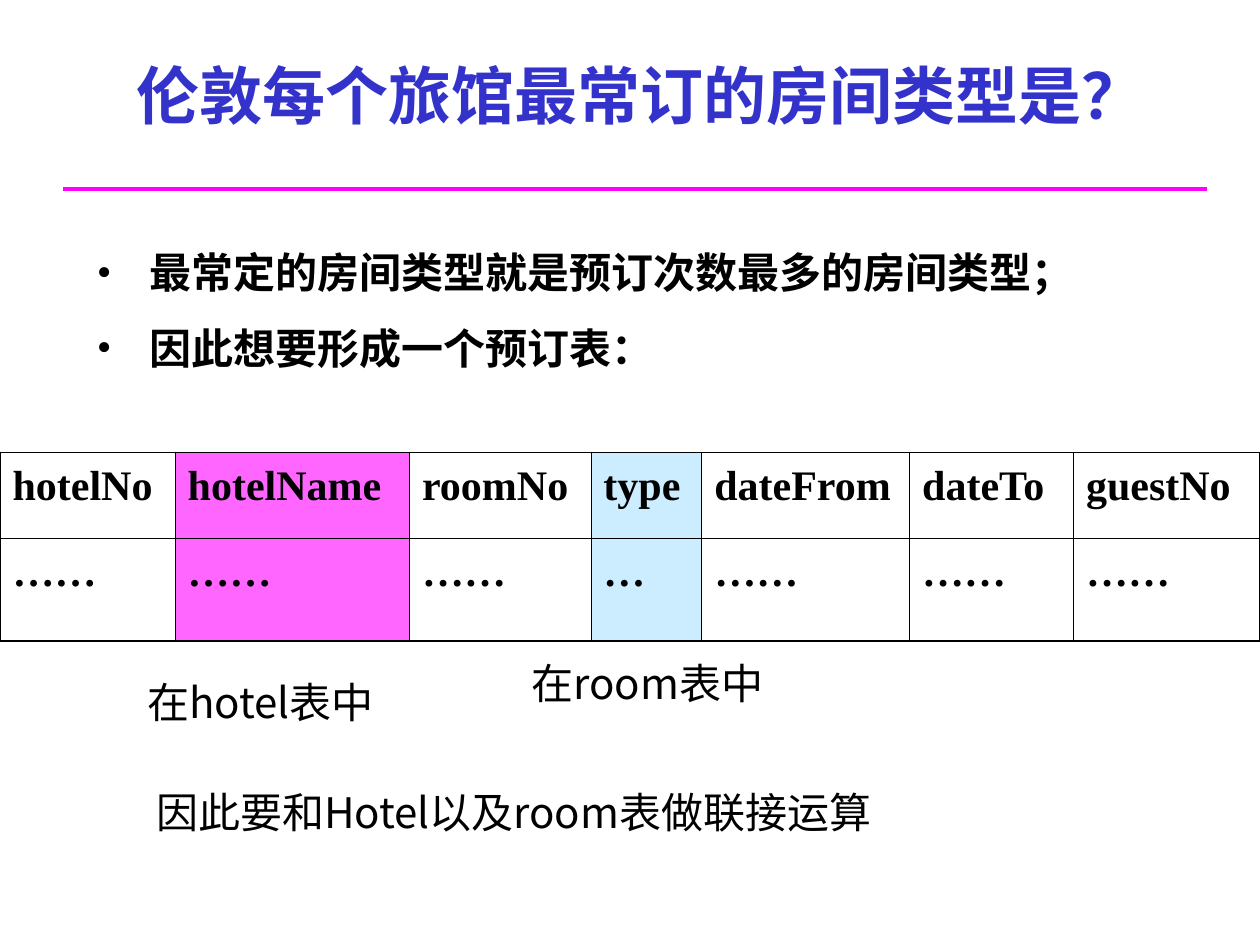
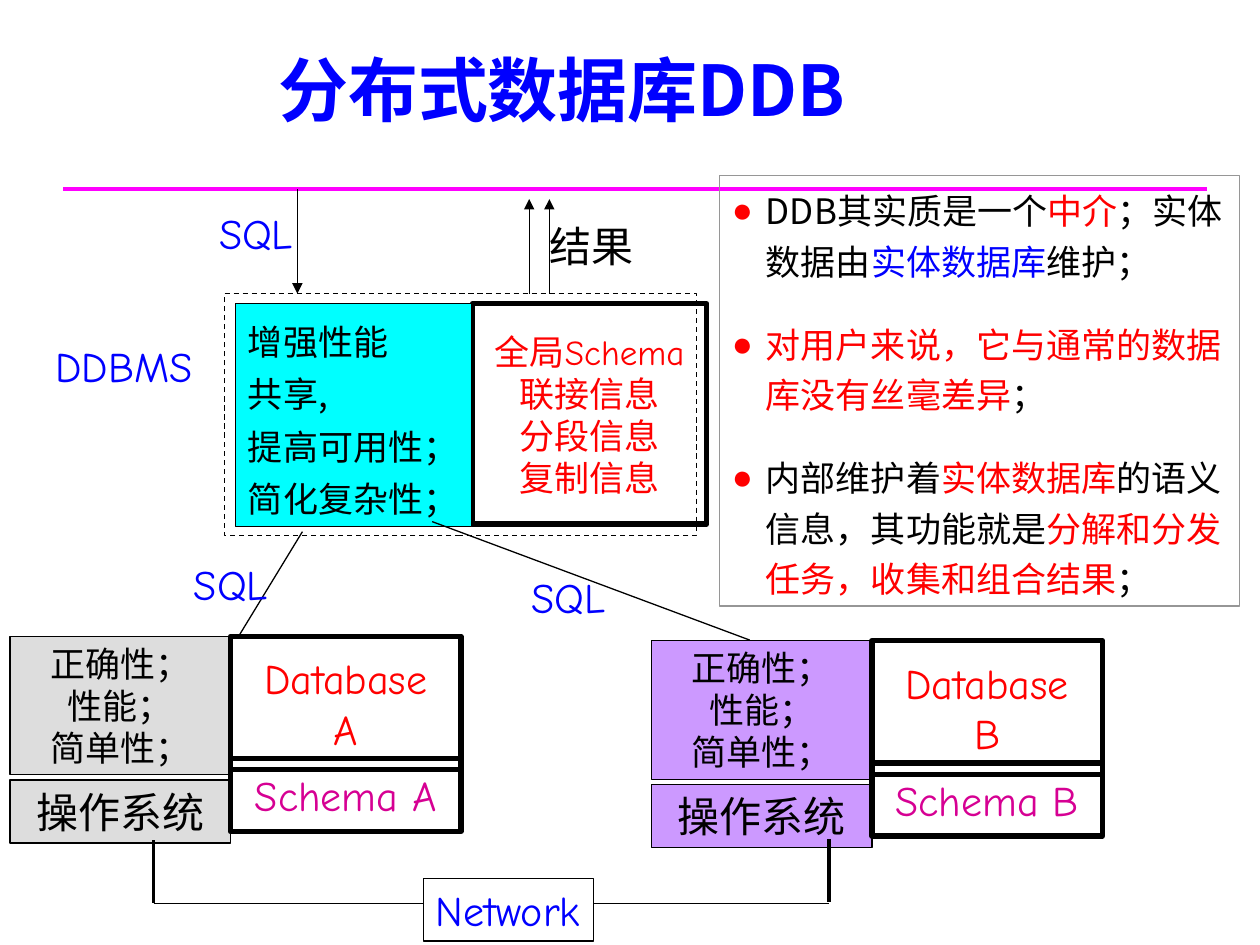
import pptx
import pptx.util
import pptx.dml.color
import pptx.enum.dml
import pptx.enum.shapes
import pptx.enum.text
import pptx.oxml
import pptx.oxml.ns
from dataclasses import dataclass
from lxml import etree


@dataclass(frozen=True)
class Theme:
    # colours
    black: str = "000000"
    white: str = "FFFFFF"
    rule: str = "FF00FF"
    title: str = "3333CC"
    blue: str = "0000FF"
    red: str = "FF0000"
    schema: str = "D60093"
    hotel: str = "FF66FF"
    room: str = "CCECFF"
    cyan: str = "00FFFF"
    grey: str = "DDDDDD"
    violet: str = "CC99FF"
    frame: str = "969696"
    # fonts
    cjk: str = "Noto Sans CJK SC"
    comic: str = "Comic Neue"
    serif: str = "Times New Roman"
    # type sizes and line widths in points
    big: int = 40
    head: int = 36
    body: int = 24
    small: int = 20
    thin: float = 0.75
    medium: float = 2
    thick: float = 3


T = Theme()
RGB = pptx.dml.color.RGBColor.from_string
ALIGN = pptx.enum.text.PP_ALIGN
ANCHOR = pptx.enum.text.MSO_ANCHOR
qn = pptx.oxml.ns.qn

prs = pptx.Presentation()
prs.slide_width = pptx.util.Inches(10)
prs.slide_height = pptx.util.Inches(7.5)
COL = prs.slide_width / 100  # grid of 100 columns
ROW = prs.slide_height / 75  # and 75 rows


def add_box(s, x, y, w, h, paras=(), size=T.body, font=T.cjk, color=T.black, bold=False,
            fill=None, line=None, width=T.thin, center=False, wrap=True, middle=False,
            pad=(1, 0.5), spacing=None, before=0, bullet=None, indent=0):
    """Box in grid units; a paragraph is a string or a list of (text, colour)."""
    at = [int(v) for v in (x * COL, y * ROW, w * COL, h * ROW)]
    if fill or line:
        sp = s.shapes.add_shape(pptx.enum.shapes.MSO_SHAPE.RECTANGLE, *at)
        sp.shadow.inherit = False
        sp.line.color.rgb = RGB(line)
        sp.line.width = pptx.util.Pt(width)
        if fill:
            sp.fill.solid()
            sp.fill.fore_color.rgb = RGB(fill)
        else:
            sp.fill.background()
    else:
        sp = s.shapes.add_textbox(*at)
    tf = sp.text_frame
    tf.word_wrap = wrap
    tf.vertical_anchor = ANCHOR.MIDDLE if middle else ANCHOR.TOP
    tf.margin_left = tf.margin_right = int(pad[0] * COL)
    tf.margin_top = tf.margin_bottom = int(pad[1] * ROW)
    if paras and not middle and not bullet:
        tf.auto_size = pptx.enum.text.MSO_AUTO_SIZE.SHAPE_TO_FIT_TEXT
    for i, para in enumerate(paras):
        p = tf.add_paragraph() if i else tf.paragraphs[0]
        p.alignment = ALIGN.CENTER if center else ALIGN.LEFT
        if spacing:
            p.line_spacing = spacing
        if i and before:
            p.space_before = pptx.util.Pt(before)
        if bullet:
            pPr = p._p.get_or_add_pPr()
            pPr.set("marL", str(int(indent * COL)))
            pPr.set("indent", str(-int(indent * COL)))
            mark, mark_color = bullet
            clr = etree.SubElement(pPr, qn("a:buClr"))
            etree.SubElement(clr, qn("a:srgbClr"), val=mark_color)
            etree.SubElement(pPr, qn("a:buFont"), typeface=T.serif)
            etree.SubElement(pPr, qn("a:buChar"), char=mark)
        for text, run_color in [(para, color)] if isinstance(para, str) else para:
            r = p.add_run()
            r.text = text
            r.font.size = pptx.util.Pt(size)
            r.font.name = font
            r.font.bold = bold
            r.font.color.rgb = RGB(run_color)
            etree.SubElement(r._r.get_or_add_rPr(), qn("a:ea"), typeface=T.cjk)
    return sp


def add_line(s, x1, y1, x2, y2, color=T.black, width=T.thin, arrow=False):
    ends = [int(v) for v in (x1 * COL, y1 * ROW, x2 * COL, y2 * ROW)]
    c = s.shapes.add_connector(pptx.enum.shapes.MSO_CONNECTOR.STRAIGHT, *ends)
    c.line.color.rgb = RGB(color)
    c.line.width = pptx.util.Pt(width)
    spPr = c._element.spPr
    if arrow:
        etree.SubElement(spPr.find(qn("a:ln")), qn("a:tailEnd"), type="triangle")
    etree.SubElement(spPr, qn("a:effectLst"))


# Both slides: blank layout with the title rule
slides = []
for _ in range(2):
    s = prs.slides.add_slide(prs.slide_layouts[6])
    add_line(s, 5, 15, 95.8, 15, T.rule, T.medium)
    slides.append(s)
query, ddb = slides

# Slide 1: title and bullets
add_box(query, 8.3, 2.5, 85, 10, ["伦敦每个旅馆最常订的房间类型是？"], T.head, T.comic,
        T.title, bold=True, center=True, middle=True)
add_box(query, 6.7, 17.5, 81.9, 16.1,
        ["最常定的房间类型就是预订次数最多的房间类型；", "因此想要形成一个预订表："],
        font=T.serif, bold=True, spacing=1.4, before=3, bullet=("•", T.black), indent=4.2)

# Slide 1: booking table
columns = [("hotelNo", 13.9, "……", None), ("hotelName", 18.6, "……", T.hotel),
           ("roomNo", 14.4, "……", None), ("type", 8.8, "…", T.room),
           ("dateFrom", 16.5, "……", None), ("dateTo", 13, "……", None),
           ("guestNo", 14.8, "……", None)]
heights = [6.8, 8.2]
OUTER, INNER = 1.08, 0.45
last_row, last_col = len(heights) - 1, len(columns) - 1
booking = query.shapes.add_table(len(heights), len(columns), 0, int(35.9 * ROW),
                                 prs.slide_width, int(sum(heights) * ROW)).table
booking.first_row = booking.horz_banding = False
for i, height in enumerate(heights):
    booking.rows[i].height = int(height * ROW)
for j, (name, width, dots, fill) in enumerate(columns):
    booking.columns[j].width = int(width * COL)
    for i, text in enumerate((name, dots)):
        cell = booking.cell(i, j)
        cell.text_frame.text = text
        p = cell.text_frame.paragraphs[0]
        p.line_spacing = 1.1
        r = p.runs[0]
        r.font.size = pptx.util.Pt(T.body)
        r.font.name = T.serif
        r.font.bold = True
        r.font.color.rgb = RGB(T.black)
        if fill:
            cell.fill.solid()
            cell.fill.fore_color.rgb = RGB(fill)
        else:
            cell.fill.background()
        edges = {"L": j == 0, "R": j == last_col, "T": i == 0, "B": i == last_row}
        for k, (side, outer) in enumerate(edges.items()):
            ln = etree.Element(qn("a:ln" + side),
                               w=str(int(pptx.util.Pt(OUTER if outer else INNER))))
            solid = etree.SubElement(ln, qn("a:solidFill"))
            etree.SubElement(solid, qn("a:srgbClr"), val=T.black)
            cell._tc.get_or_add_tcPr().insert(k, ln)

# Slide 1: remarks below the table
add_box(query, 10.7, 53.2, 21.6, 5, ["在hotel表中"], wrap=False)
add_box(query, 41.2, 51.7, 22.1, 5, ["在room表中"], wrap=False)
add_box(query, 11.4, 61.9, 58.9, 9, ["因此要和Hotel以及room表做联接运算"])

# Slide 2: title
add_box(ddb, 21.1, 3.1, 69.3, 7.9, ["分布式数据库DDB"], T.big, color=T.blue, bold=True,
        middle=True)

# Slide 2: global system
add_box(ddb, 37.5, 24.1, 18.6, 17.5, ["全局Schema", "联接信息", "分段信息", "复制信息"],
        T.small, T.comic, T.red, line=T.black, width=T.thick, center=True, wrap=False,
        pad=(1, 2.1))
add_box(ddb, 18.7, 24.1, 18.7, 17.7, ["增强性能", "共享,", "提高可用性；", "简化复杂性；"],
        T.small, fill=T.cyan, line=T.black, wrap=False, spacing=1.25)
outline = add_box(ddb, 17.8, 23.3, 37.5, 19.2, line=T.black)
outline.line.dash_style = pptx.enum.dml.MSO_LINE.DASH

# Slide 2: local sites
for site, x, y, fill in [("A", 0.8, 50.5, T.grey), ("B", 51.7, 50.85, T.violet)]:
    add_box(ddb, x, y, 17.5, 11, ["正确性；", "性能；", "简单性；"], T.small, fill=fill,
            line=T.black, center=True, pad=(0, 0.5))
    add_box(ddb, x, y + 11.4, 17.5, 5, ["操作系统"], font=T.comic, fill=fill,
            line=T.black, center=True)
    add_box(ddb, x + 17.5, y, 18.3, 10.6, ["Database", site], font=T.comic, color=T.red,
            line=T.black, width=T.thick, center=True, pad=(1, 1.3))
    add_box(ddb, x + 17.5, y + 9.7, 18.3, 5.8, ["Schema " + site], font=T.comic,
            color=T.schema, line=T.black, width=T.thick, center=True, pad=(0.2, 0.9))

# Slide 2: links to the sites and the network
for ends, width in [((24, 42.2, 19, 50.4), T.thin), ((34.3, 41.4, 59.5, 50.8), T.thin),
                    ((12.2, 66.7, 12.2, 71.7), T.medium),
                    ((65.8, 66.6, 65.8, 71.6), T.medium),
                    ((12.2, 71.7, 65.8, 71.7), T.thin)]:
    add_line(ddb, *ends, width=width)
add_box(ddb, 33.6, 69.7, 13.5, 5, ["Network"], font=T.comic, color=T.blue, fill=T.white,
        line=T.black, wrap=False)

# Slide 2: notes on the right
add_box(ddb, 57.1, 13.9, 41.3, 34.2, [
    [("DDB其实质是一个", T.black), ("中介", T.red), ("；实体数据由", T.black),
     ("实体数据库", T.blue), ("维护；", T.black)],
    [("对用户来说，它与通常的数据库没有丝毫差异", T.red), ("；", T.black)],
    [("内部维护着", T.black), ("实体数据库", T.red), ("的语义信息，其功能就是", T.black),
     ("分解和分发任务，收集和组合结果", T.red), ("；", T.black)],
], T.small, line=T.frame, spacing=1.2, before=18.7, bullet=("●", T.red), indent=2.7)

# Slide 2: query and result arrows with labels
for x, start, end in [(23.6, 15, 23.3), (42, 23.3, 15.8), (43.6, 23.3, 15.8)]:
    add_line(ddb, x, start, x, end, arrow=True)
for text, x, y, w, color in [("SQL", 14.4, 43.8, 9, T.blue), ("SQL", 16.4, 16, 9, T.blue),
                             ("SQL", 41.2, 44.9, 9, T.blue),
                             ("DDBMS", 3.4, 26.5, 14, T.blue),
                             ("结果", 42.6, 17, 10, T.black)]:
    add_box(ddb, x, y, w, 5, [text], font=T.comic, color=color)

prs.save("out.pptx")
